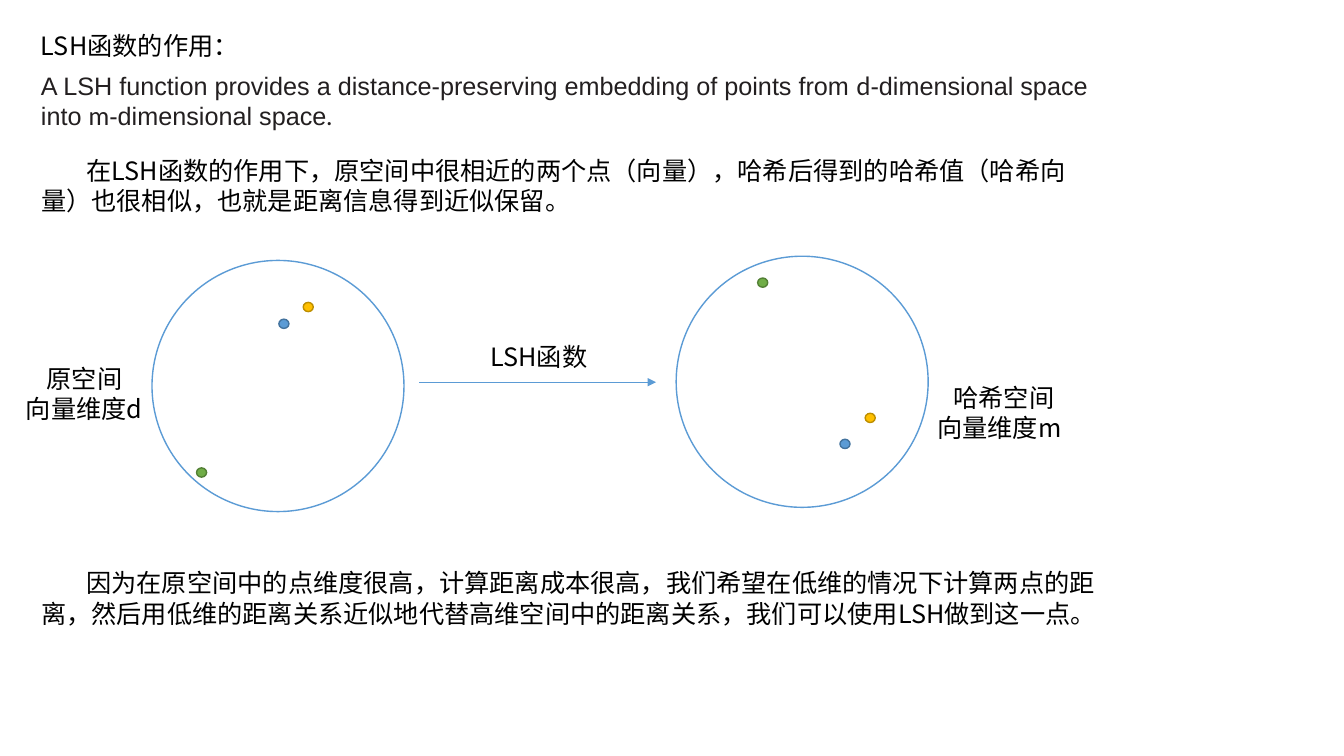
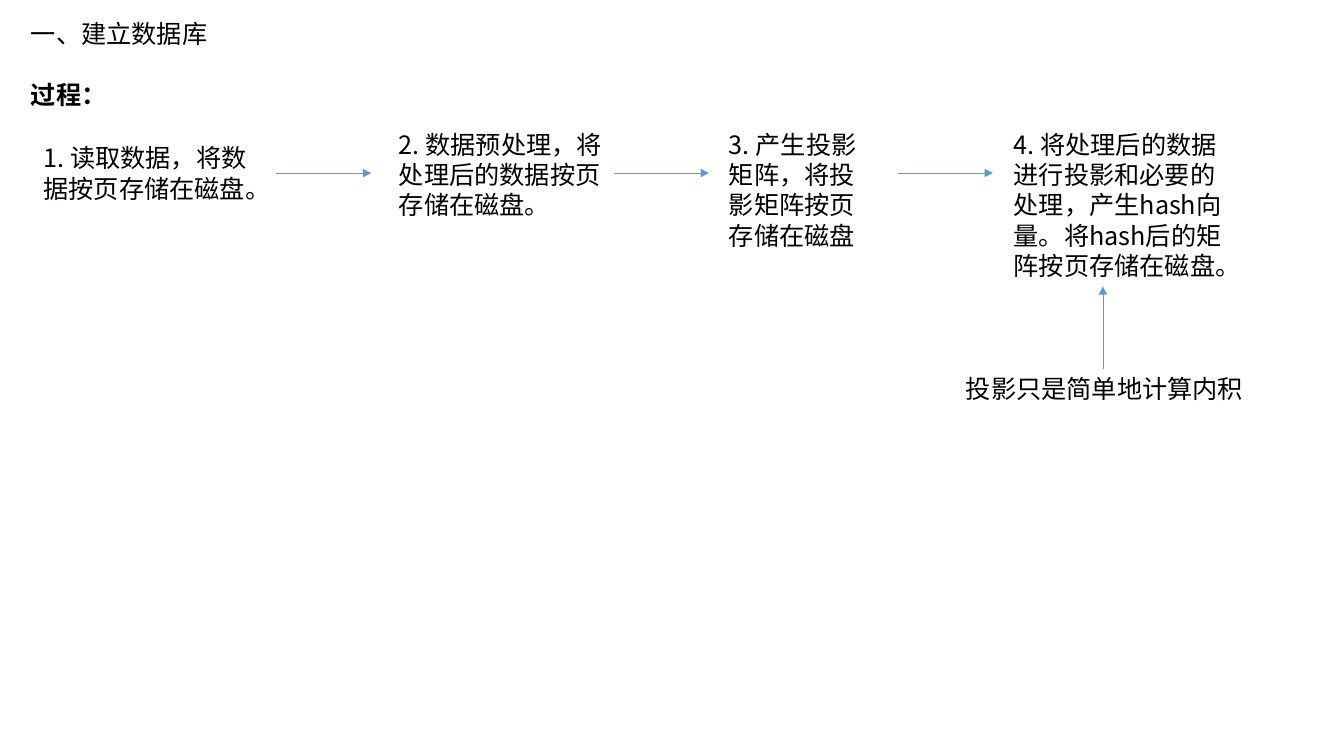
"""Build two slides on the LSH function and on setting up its database."""
from dataclasses import dataclass

from lxml.etree import SubElement
from pptx import Presentation
from pptx.dml.color import RGBColor as Color
from pptx.enum.shapes import MSO_CONNECTOR as Connector, MSO_SHAPE as Shape
from pptx.enum.text import MSO_AUTO_SIZE as AutoSize, PP_ALIGN as Align
from pptx.oxml.ns import qn
from pptx.util import Inches, Pt


@dataclass(frozen=True)
class Theme:
    columns: int = 160
    rows: int = 90
    width: int = Inches(13.33)
    height: int = Inches(7.5)
    font: str = "Noto Sans CJK SC"
    english: str = "Arial"
    symbol: str = "Lato"
    size: int = Pt(18)
    indent: int = Inches(0.45)
    gap: int = Pt(22)
    text: str = "000000"
    quote: str = "231F20"
    accent: str = "5B9BD5"
    outline: int = Pt(1)
    arrow: int = Pt(0.5)


THEME = Theme()
DOT_COLORS = (("5B9BD5", "43739E"), ("FFC000", "BD8E00"), ("70AD47", "538035"))
DOT_SIZE = (1.2, 1.1)
CIRCLE_SIZE = (30, 29.9)
MARGIN = 3.7
BODY_WIDTH = 127.9
LINE = 4.8
TWO_LINES = 8.5

SPACES = (
    ((18.1, 31), ((15.1, 7), (18, 5), (5.3, 24.7)),
     ("原空间", "向量维度d"), (1.9, 42.6, 16.3, TWO_LINES)),
    ((80.5, 30.5), ((19.5, 21.8), (22.5, 18.7), (9.7, 2.6)),
     ("哈希空间", "向量维度m"), (110.4, 44.9, 18.2, TWO_LINES)),
)

STEP_TOP = 14.8
STEP_WIDTH = 28.9
FLOW_ROW = 20.6
FLOW_LENGTH = 11.3
STEPS = (
    ("1. 读取数据，将数据按页存储在磁盘。", (4, 16.4, STEP_WIDTH, 8.4)),
    ("2. 数据预处理，将处理后的数据按页存储在磁盘。", (46.3, STEP_TOP, STEP_WIDTH, 12.1)),
    ("3. 产生投影矩阵，将投影矩阵按页存储在磁盘", (85.6, STEP_TOP, 20.2, 15.7)),
    ("4. 将处理后的数据进行投影和必要的处理，产生hash向量。将hash后的矩阵按页存储在磁盘。",
     (119.5, STEP_TOP, STEP_WIDTH, 19.4)),
)
FLOW_STARTS = (32.9, 73.1, 106.9)


def across(columns):
    return round(THEME.width * columns / THEME.columns)


def down(rows):
    return round(THEME.height * rows / THEME.rows)


def place(left, top, width, height):
    return across(left), down(top), across(width), down(height)


def style_paragraph(para, color=THEME.text):
    para.font.size = THEME.size
    para.font.color.rgb = Color.from_string(color)
    para.font.name = THEME.font
    defaults = para._p.pPr.find(qn("a:defRPr"))
    SubElement(defaults, qn("a:ea")).set("typeface", THEME.font)


def add_text(page, area, *lines):
    box = page.shapes.add_textbox(*place(*area))
    frame = box.text_frame
    frame.word_wrap = True
    frame.auto_size = AutoSize.SHAPE_TO_FIT_TEXT
    frame.text = "\n".join(lines)
    for para in frame.paragraphs:
        style_paragraph(para)
    return box


def add_body(page, top, text):
    box = add_text(page, (MARGIN, top, BODY_WIDTH, TWO_LINES), text)
    box.text_frame.paragraphs[0]._p.pPr.set("indent", str(THEME.indent))


def add_quote(page, area, spans):
    para = add_text(page, area, "").text_frame.paragraphs[0]
    para.font.color.rgb = Color.from_string(THEME.quote)
    for text, font in spans:
        span = para.add_run()
        span.text = text
        span.font.name = font


def add_ellipse(page, area, line, fill=None):
    ellipse = page.shapes.add_shape(Shape.OVAL, *place(*area))
    ellipse.shadow.inherit = False
    if fill:
        ellipse.fill.solid()
        ellipse.fill.fore_color.rgb = Color.from_string(fill)
    else:
        ellipse.fill.background()
    ellipse.line.color.rgb = Color.from_string(line)
    ellipse.line.width = THEME.outline


def add_arrow(page, start, end):
    arrow = page.shapes.add_connector(
        Connector.STRAIGHT, across(start[0]), down(start[1]), across(end[0]), down(end[1]))
    arrow.line.color.rgb = Color.from_string(THEME.accent)
    arrow.line.width = THEME.arrow
    properties = arrow._element.spPr
    SubElement(properties.find(qn("a:ln")), qn("a:tailEnd")).set("type", "triangle")
    SubElement(properties, qn("a:effectLst"))
    return arrow


def add_space(page, corner, dots, lines, label_area):
    add_ellipse(page, (*corner, *CIRCLE_SIZE), THEME.accent)
    for (right, below), (fill, line) in zip(dots, DOT_COLORS):
        add_ellipse(page, (corner[0] + right, corner[1] + below, *DOT_SIZE), line, fill)
    label = add_text(page, label_area, *lines)
    label.text_frame.paragraphs[0].alignment = Align.CENTER


def build_function_page(page):
    add_text(page, (MARGIN, 3, 151.2, LINE), "LSH函数的作用：")
    add_quote(page, (MARGIN, 7.8, 132.4, TWO_LINES), (
        ("A LSH function provides a distance-preserving embedding of points from ", THEME.english),
        ("d", THEME.symbol),
        ("-dimensional space into ", THEME.english),
        ("m", THEME.symbol),
        ("-dimensional space", THEME.english),
        (".", THEME.symbol),
    ))
    add_body(page, 17.9, "在LSH函数的作用下，原空间中很相近的两个点（向量），"
                         "哈希后得到的哈希值（哈希向量）也很相似，也就是距离信息得到近似保留。")
    for space in SPACES:
        add_space(page, *space)
    add_arrow(page, (49.9, 45.5), (78.1, 45.5))
    add_text(page, (57.2, 40, 18.1, LINE), "LSH函数")
    add_body(page, 67, "因为在原空间中的点维度很高，计算距离成本很高，我们希望在低维的情况下计算两点的距离，"
                       "然后用低维的距离关系近似地代替高维空间中的距离关系，我们可以使用LSH做到这一点。")


def build_database_page(page):
    heading = add_text(page, (2.5, 1.6, 33.5, 12.1), "一、建立数据库", "过程：")
    process = heading.text_frame.paragraphs[1]
    process.font.bold = True
    process.space_before = THEME.gap
    boxes = [add_text(page, area, text) for text, area in STEPS]
    arrows = [add_arrow(page, (start, FLOW_ROW), (start + FLOW_LENGTH, FLOW_ROW))
              for start in FLOW_STARTS]
    arrows[0].begin_connect(boxes[0], 3)
    add_arrow(page, (131.3, 43.9), (131.3, 34.1))
    add_text(page, (113.8, 43.9, 46.2, LINE), "投影只是简单地计算内积")


def main():
    deck = Presentation()
    deck.slide_width, deck.slide_height = THEME.width, THEME.height
    for build in (build_function_page, build_database_page):
        build(deck.slides.add_slide(deck.slide_layouts[6]))
    deck.save("out.pptx")


if __name__ == "__main__":
    main()
